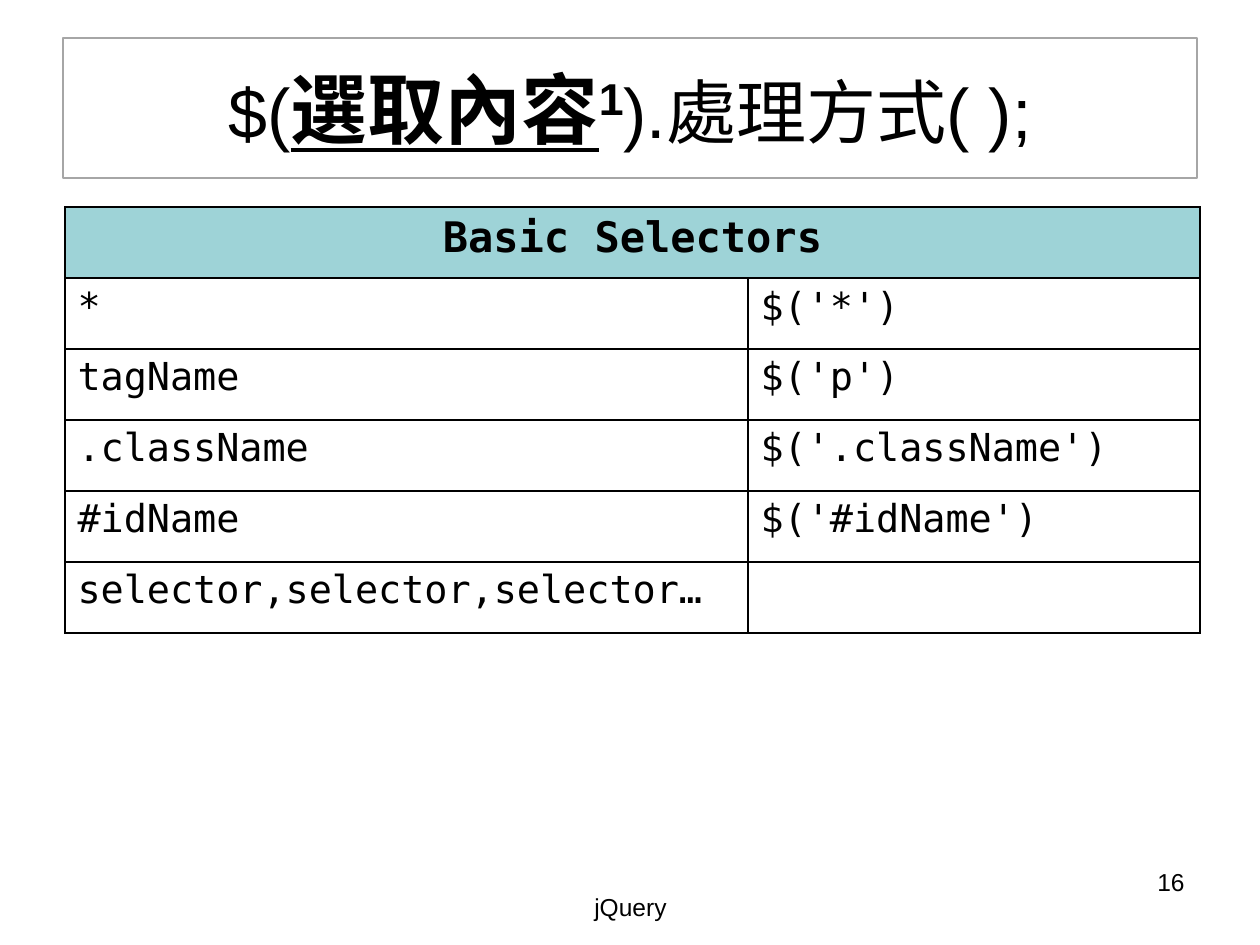
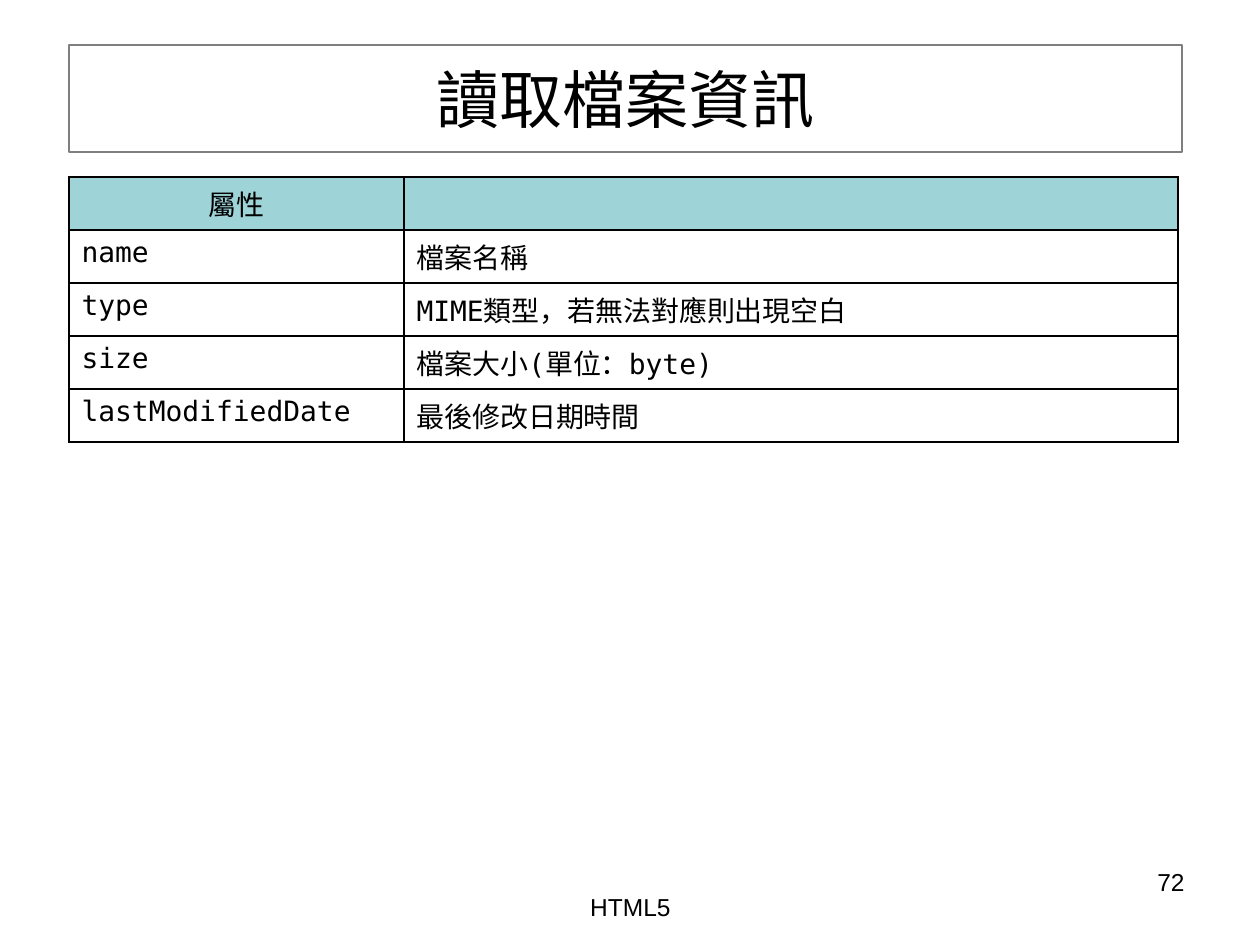
import dataclasses

import lxml.etree
import pptx
import pptx.dml.color
import pptx.enum.text
import pptx.oxml.ns
import pptx.util

PX = 914400 // 126
ALIGN = pptx.enum.text.PP_ALIGN


@dataclasses.dataclass(frozen=True)
class Theme:
    ink: str = "000000"
    header: str = "9ED3D7"
    sans: str = "Arial"
    mono: str = "DejaVu Sans Mono"
    footer_size: int = 14
    title_line: float = 0.75
    border: float = 1


def px(*lengths):
    return [pptx.util.Emu(n * PX) for n in lengths]


def rgb(value):
    return pptx.dml.color.RGBColor.from_string(value)


class Deck:
    def __init__(self, theme):
        self.theme = theme
        self.prs = pptx.Presentation()
        self.prs.slide_width = pptx.util.Inches(10)
        self.prs.slide_height = pptx.util.Inches(7.5)
        self.slide = None

    def add_slide(self, topic, number):
        self.slide = self.prs.slides.add_slide(self.prs.slide_layouts[5])
        self.label(number, (903, 861, 294, 65), ALIGN.RIGHT)
        self.label(topic, (431, 886, 399, 63), ALIGN.CENTER)

    def run(self, p, text, size, font, bold=False, underline=False, baseline=0):
        """Add a run; baseline is a percentage, positive for superscript."""
        r = p.add_run()
        r.text = text
        r.font.size = pptx.util.Pt(size)
        r.font.name = font
        r.font.bold = bold
        r.font.underline = underline
        r.font.color.rgb = rgb(self.theme.ink)
        if baseline:
            r._r.get_or_add_rPr().set("baseline", str(baseline * 1000))

    def label(self, text, box, align):
        tf = self.slide.shapes.add_textbox(*px(*box)).text_frame
        tf.word_wrap = True
        p = tf.paragraphs[0]
        p.alignment = align
        self.run(p, text, self.theme.footer_size, self.theme.sans)

    def title(self, runs, box, line):
        """Fill the title; each run is (text, size, options)."""
        sp = self.slide.shapes.title
        sp.left, sp.top, sp.width, sp.height = px(*box)
        sp.line.color.rgb = rgb(line)
        sp.line.width = pptx.util.Pt(self.theme.title_line)
        tf = sp.text_frame
        tf.auto_size = pptx.enum.text.MSO_AUTO_SIZE.NONE
        tf.vertical_anchor = pptx.enum.text.MSO_ANCHOR.MIDDLE
        p = tf.paragraphs[0]
        p.alignment = ALIGN.CENTER
        for text, size, options in runs:
            self.run(p, text, size, self.theme.sans, **options)

    def borders(self, cell):
        tc_pr = cell._tc.get_or_add_tcPr()
        qn = pptx.oxml.ns.qn
        for side in ("a:lnL", "a:lnR", "a:lnT", "a:lnB"):
            ln = lxml.etree.SubElement(tc_pr, qn(side), w=str(pptx.util.Pt(self.theme.border)))
            fill = lxml.etree.SubElement(ln, qn("a:solidFill"))
            lxml.etree.SubElement(fill, qn("a:srgbClr"), val=self.theme.ink)

    def table(self, rows, origin, widths, row_height, size, header_size, header_bold=False):
        """Draw rows under a tinted header; a one-cell header spans the table."""
        frame = self.slide.shapes.add_table(
            len(rows), len(widths), *px(*origin, sum(widths), row_height * len(rows)))
        table = frame.table
        table.first_row = table.horz_banding = False
        for column, width in zip(table.columns, px(*widths)):
            column.width = width
        for i, texts in enumerate(rows):
            header = i == 0
            for cell in table.rows[i].cells:
                self.borders(cell)
                if header:
                    cell.fill.solid()
                    cell.fill.fore_color.rgb = rgb(self.theme.header)
                else:
                    cell.fill.background()
            if len(texts) == 1:
                table.cell(i, 0).merge(table.cell(i, len(widths) - 1))
            for j, text in enumerate(texts):
                if text:
                    p = table.cell(i, j).text_frame.paragraphs[0]
                    p.alignment = ALIGN.CENTER if header else ALIGN.LEFT
                    self.run(p, text, header_size if header else size,
                             self.theme.mono, bold=header and header_bold)


def selectors_slide(deck):
    deck.add_slide("jQuery", "16")
    deck.title([("$(", 40, {}),
                ("選取內容", 44, {"bold": True, "underline": True}),
                ("1", 44, {"bold": True, "baseline": 30}),
                (").處理方式( );", 40, {})],
               (63, 38, 1134, 140), "A6A6A6")
    rows = [("Basic Selectors",),
            ("*", "$('*')"),
            ("tagName", "$('p')"),
            (".className", "$('.className')"),
            ("#idName", "$('#idName')"),
            ("selector,selector,selector…", "")]
    deck.table(rows, (65, 207), (683, 452), 71, size=22, header_size=24, header_bold=True)


def file_info_slide(deck):
    deck.add_slide("HTML5", "72")
    deck.title([("讀取檔案資訊", 36, {})], (69, 45, 1113, 107), "7F7F7F")
    rows = [("屬性", ""),
            ("name", "檔案名稱"),
            ("type", "MIME類型，若無法對應則出現空白"),
            ("size", "檔案大小(單位：byte)"),
            ("lastModifiedDate", "最後修改日期時間")]
    deck.table(rows, (69, 177), (335, 774), 53, size=16, header_size=16)


def main():
    deck = Deck(Theme())
    selectors_slide(deck)
    file_info_slide(deck)
    deck.prs.save("out.pptx")


if __name__ == "__main__":
    main()
